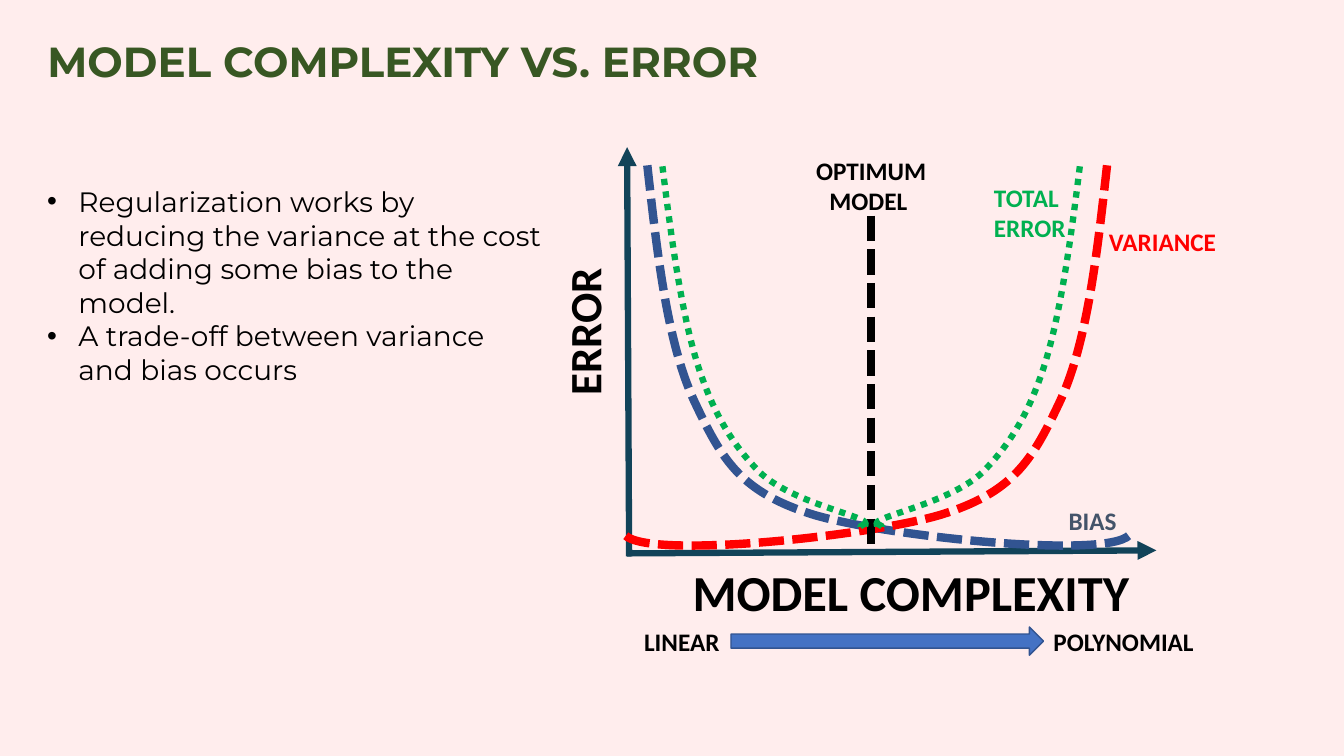
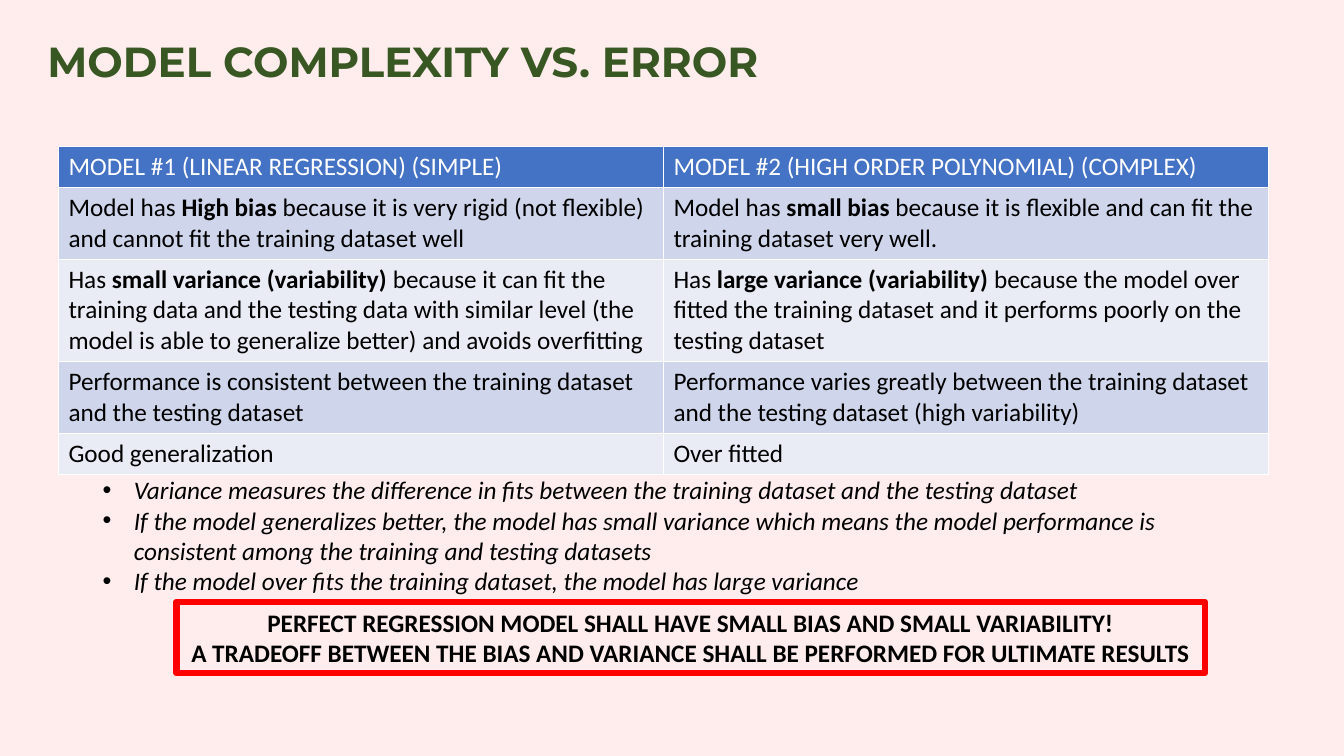
from lxml.etree import SubElement
from pptx import Presentation
from pptx.dml.color import RGBColor
from pptx.enum.dml import MSO_LINE
from pptx.enum.shapes import MSO_CONNECTOR, MSO_SHAPE
from pptx.enum.text import MSO_ANCHOR, MSO_AUTO_SIZE, PP_ALIGN
from pptx.oxml.ns import qn
from pptx.util import Inches, Pt

BACKGROUND = "FFEDED"
TITLE_GREEN = "385723"
AXIS_TEAL = "124359"
BLUE, DARK_BLUE, SLATE = "4472C4", "325491", "44546A"
RED, GREEN = "FF0000", "00B050"
BLACK, WHITE = "000000", "FFFFFF"
ROW_BANDS = ("CFD5EA", "E9EBF5")
BODY_FONT, HEADING_FONT = "Calibri", "Montserrat"

BIAS_CURVE = [(6.42, 1.64), (6.52, 2.53), (6.62, 3.43), (6.9, 4.01),
              (7.17, 4.58), (7.36, 4.89), (8.08, 5.11),
              (8.8, 5.32), (10.96, 5.55), (11.2, 5.31)]
TOTAL_CURVE = [(6.57, 1.65), (6.66, 2.38), (6.76, 3.11), (6.92, 3.62),
               (7.08, 4.12), (7.28, 4.43), (7.54, 4.69),
               (7.81, 4.94), (8.35, 5.07), (8.53, 5.15),
               (8.72, 5.23), (8.36, 5.28), (8.64, 5.17)]
BIAS_CENTRE, OPTIMUM_X = 8.7, 8.64
BIAS_HEIGHT, TOTAL_HEIGHT = 3.78, 3.58

COMPARISON = [
    ("MODEL #1 (LINEAR REGRESSION) (SIMPLE)",
     "MODEL #2 (HIGH ORDER POLYNOMIAL) (COMPLEX)"),
    ("Model has *High bias *because it is very rigid (not flexible) and cannot fit "
     "the training dataset well",
     "Model has *small bias *because it is flexible and can fit the training dataset very well."),
    ("Has *small variance (variability) *because it can fit the training data and the testing "
     "data with similar level (the model is able to generalize better) and avoids overfitting",
     "Has *large variance (variability) *because the model over fitted the training dataset "
     "and it performs poorly on the testing dataset"),
    ("Performance is consistent between the training dataset and the testing dataset",
     "Performance varies greatly between the training dataset and the testing dataset "
     "(high variability)"),
    ("Good generalization", "Over fitted"),
]
ROW_HEIGHT = 0.41


def rgb(color):
    return RGBColor.from_string(color)


def box(*lengths):
    return [Inches(length) for length in lengths]


def style_run(run, size, color=BLACK, font=BODY_FONT, bold=False, italic=False):
    run.font.size = Pt(size)
    run.font.name = font
    run.font.bold = bold
    run.font.italic = italic
    run.font.color.rgb = rgb(color)


def write(frame, text, size, align=PP_ALIGN.LEFT, **style):
    frame.text = text
    for paragraph in frame.paragraphs:
        paragraph.alignment = align
        for run in paragraph.runs:
            style_run(run, size, **style)


def add_label(slide, place, text, size=18, wrap=False, align=PP_ALIGN.LEFT, bold=True, **style):
    label = slide.shapes.add_textbox(*box(*place))
    label.text_frame.word_wrap = wrap
    write(label.text_frame, text, size, align, bold=bold, **style)
    return label


def add_bullets(slide, place, items, size, **style):
    bullets = add_label(slide, place, "\n".join(items), size, wrap=True, bold=False, **style)
    for paragraph in bullets.text_frame.paragraphs:
        properties = paragraph._p.get_or_add_pPr()
        properties.set("marL", str(Inches(0.31)))
        properties.set("indent", str(-Inches(0.31)))
        SubElement(properties, qn("a:buFont")).set("typeface", "Arial")
        SubElement(properties, qn("a:buChar")).set("char", "•")


def style_line(line, color, width, dash=None):
    line.color.rgb = rgb(color)
    line.width = Pt(width)
    if dash is not None:
        line.dash_style = dash


def add_line(slide, ends, color, width, dash=None, arrow=False):
    connector = slide.shapes.add_connector(MSO_CONNECTOR.STRAIGHT, *box(*ends))
    style_line(connector.line, color, width, dash)
    if arrow:
        SubElement(connector.line._get_or_add_ln(), qn("a:tailEnd")).set("type", "triangle")
    SubElement(connector._element.spPr, qn("a:effectLst"))


def mirrored(points, centre):
    return [(2 * centre - x, y) for x, y in points]


def bend_segments(outline):
    segments = outline.findall(qn("a:lnTo"))
    for start in range(0, len(segments), 3):
        bend = SubElement(outline, qn("a:cubicBezTo"))
        for segment in segments[start:start + 3]:
            bend.append(segment[0])
            outline.remove(segment)


def add_curve(slide, points, height, color, width, dash):
    builder = slide.shapes.build_freeform(*box(*points[0]))
    builder.add_line_segments([box(*point) for point in points[1:]], close=False)
    curve = builder.convert_to_shape()
    outline = next(curve._element.iter(qn("a:path")))
    bend_segments(outline)
    curve.height = Inches(height)
    outline.set("h", str(curve.height))
    curve.shadow.inherit = False
    curve.fill.background()
    style_line(curve.line, color, width, dash)


def add_preset(slide, preset, place, line_color, line_width, fill=None):
    shape = slide.shapes.add_shape(preset, *box(*place))
    shape.shadow.inherit = False
    style_line(shape.line, line_color, line_width)
    if fill:
        shape.fill.solid()
        shape.fill.fore_color.rgb = rgb(fill)
    else:
        shape.fill.background()
    return shape


def add_titled_slide(deck, text):
    slide = deck.slides.add_slide(deck.slide_layouts[5])
    slide.background.fill.solid()
    slide.background.fill.fore_color.rgb = rgb(BACKGROUND)
    title = slide.shapes.title
    title.left, title.top, title.width, title.height = box(0.37, 0.3, 12.96, 0.61)
    title.text_frame.auto_size = MSO_AUTO_SIZE.NONE
    title.text_frame.vertical_anchor = MSO_ANCHOR.TOP
    write(title.text_frame, text, 30, color=TITLE_GREEN, font=HEADING_FONT, bold=True)
    return slide


def add_comparison(slide, place, rows):
    frame = slide.shapes.add_table(len(rows), len(rows[0]), *box(*place))
    for row_index, texts in enumerate(rows):
        frame.table.rows[row_index].height = Inches(ROW_HEIGHT)
        header = row_index == 0
        for column_index, text in enumerate(texts):
            cell = frame.table.cell(row_index, column_index)
            cell.fill.solid()
            cell.fill.fore_color.rgb = rgb(BLUE if header else ROW_BANDS[(row_index - 1) % 2])
            paragraph = cell.text_frame.paragraphs[0]
            for part_index, part in enumerate(text.split("*")):
                run = paragraph.add_run()
                run.text = part
                style_run(run, 18, WHITE if header else BLACK, bold=part_index % 2 == 1)
    frame.height = Inches(place[3])


def build_curves_slide(deck):
    slide = add_titled_slide(deck, "MODEL COMPLEXITY VS. ERROR")
    add_line(slide, (6.22, 5.49, 11.47, 5.46), AXIS_TEAL, 4.5, arrow=True)
    add_line(slide, (6.24, 5.52, 6.22, 1.46), AXIS_TEAL, 4.5, arrow=True)
    add_label(slide, (6.77, 5.52, 4.58, 0.71), "MODEL COMPLEXITY", 36)
    add_label(slide, (5.05, 2.96, 1.48, 0.64), "ERROR", 32).rotation = 270
    for points, color in ((BIAS_CURVE, DARK_BLUE), (mirrored(BIAS_CURVE, BIAS_CENTRE), RED)):
        add_curve(slide, points, BIAS_HEIGHT, color, 6, MSO_LINE.SQUARE_DOT)
    add_label(slide, (10.9, 2.2, 1.27, 0.4), "VARIANCE", color=RED)
    add_label(slide, (10.5, 4.96, 0.68, 0.4), "BIAS", color=SLATE)
    add_label(slide, (6.29, 6.16, 0.96, 0.4), "LINEAR")
    add_label(slide, (10.35, 6.16, 1.66, 0.4), "POLYNOMIAL")
    add_preset(slide, MSO_SHAPE.RIGHT_ARROW, (7.25, 6.22, 3.1, 0.28), DARK_BLUE, 1, BLUE)
    add_line(slide, (OPTIMUM_X, 2.14, OPTIMUM_X, 5.46), BLACK, 6, MSO_LINE.SQUARE_DOT)
    for points in (TOTAL_CURVE, mirrored(TOTAL_CURVE, OPTIMUM_X)):
        add_curve(slide, points, TOTAL_HEIGHT, GREEN, 4.5, MSO_LINE.ROUND_DOT)
    add_label(slide, (9.76, 1.76, 1.11, 0.71), "TOTAL ERROR", wrap=True, color=GREEN)
    add_label(slide, (7.79, 1.49, 1.7, 0.71), "OPTIMUM MODEL ", wrap=True,
              align=PP_ALIGN.CENTER)
    add_bullets(slide, (0.37, 1.78, 5.1, 2.12), [
        "Regularization works by reducing the variance at the cost of adding some bias "
        "to the model.",
        "A trade-off between variance and bias occurs",
    ], 20, font=HEADING_FONT)


def build_comparison_slide(deck):
    slide = add_titled_slide(deck, "MODEL COMPLEXITY VS. ERROR")
    add_comparison(slide, (0.58, 1.45, 12, 3.21), COMPARISON)
    add_bullets(slide, (0.92, 4.66, 11.5, 1.31), [
        "Variance measures the difference in fits between the training dataset "
        "and the testing dataset",
        "If the model generalizes better, the model has small variance which means the model "
        "performance is consistent among the training and testing datasets",
        "If the model over fits the training dataset, the model has large variance",
    ], 18, italic=True)
    conclusion = add_preset(slide, MSO_SHAPE.RECTANGLE, (1.75, 5.97, 10.2, 0.71), RED, 4.5)
    conclusion.text_frame.word_wrap = False
    write(conclusion.text_frame,
          "PERFECT REGRESSION MODEL SHALL HAVE SMALL BIAS AND SMALL VARIABILITY!\n"
          "A TRADEOFF BETWEEN THE BIAS AND VARIANCE SHALL BE PERFORMED FOR ULTIMATE RESULTS",
          18, PP_ALIGN.CENTER, bold=True)


def main():
    deck = Presentation()
    deck.slide_width, deck.slide_height = box(13.33, 7.5)
    build_curves_slide(deck)
    build_comparison_slide(deck)
    deck.save("out.pptx")


if __name__ == "__main__":
    main()
